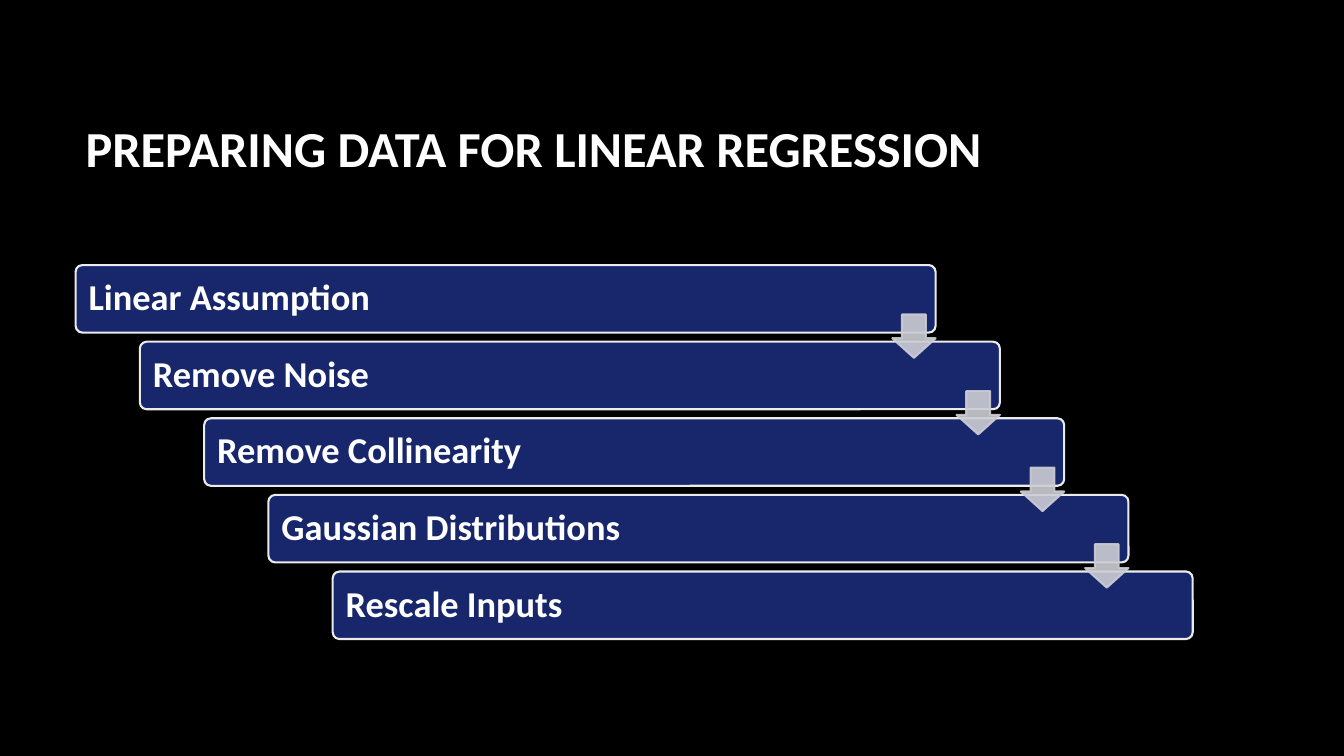
"""Build a slide with five staggered steps for preparing regression data."""
from lxml import etree
from pptx import Presentation
from pptx.dml.color import RGBColor
from pptx.enum.shapes import MSO_SHAPE
from pptx.enum.text import MSO_ANCHOR, PP_ALIGN
from pptx.oxml.ns import qn
from pptx.util import Inches, Pt

COLORS = {
    "background": "000000",
    "text": "FFFFFF",
    "bar": "18276C",
    "bar_line": "EBEBEB",
    "arrow": "CCCDD4",
}
STEPS = [
    "Linear Assumption",
    "Remove Noise",
    "Remove Collinearity",
    "Gaussian Distributions",
    "Rescale Inputs",
]
LEFT, TOP = 0.75, 2.63
STEP_X, STEP_Y = 0.6375, 0.76
BAR_WIDTH, BAR_HEIGHT = 8.53, 0.67
ARROW_SIZE, ARROW_DROP = 0.43, 0.49


def write_text(shape, text, size, inset=0.1, line_spacing=1.0):
    frame = shape.text_frame
    frame.word_wrap = True
    frame.vertical_anchor = MSO_ANCHOR.MIDDLE
    frame.margin_left = frame.margin_right = Inches(inset)
    para = frame.paragraphs[0]
    para.alignment = PP_ALIGN.LEFT
    para.line_spacing = line_spacing
    span = para.add_run()
    span.text = text
    span.font.name = "Calibri"
    span.font.size = Pt(size)
    span.font.bold = True
    span.font.color.rgb = RGBColor.from_string(COLORS["text"])


def add_block(page, kind, position, adjustments, fill, line):
    shape = page.shapes.add_shape(kind, *[Inches(value) for value in position])
    shape.shadow.inherit = False
    for index, value in enumerate(adjustments):
        shape.adjustments[index] = value
    shape.fill.solid()
    shape.fill.fore_color.rgb = RGBColor.from_string(COLORS[fill])
    shape.line.color.rgb = RGBColor.from_string(COLORS[line])
    shape.line.width = Pt(1.5)
    return shape


deck = Presentation()
deck.slide_width, deck.slide_height = Inches(13.33), Inches(7.5)
page = deck.slides.add_slide(deck.slide_layouts[6])
page.background.fill.solid()
page.background.fill.fore_color.rgb = RGBColor.from_string(COLORS["background"])

title = page.shapes.add_textbox(Inches(0.75), Inches(0.67), Inches(11.08), Inches(1.59))
write_text(title, "PREPARING DATA FOR LINEAR REGRESSION", size=36)

for index, step in enumerate(STEPS):
    position = (LEFT + index * STEP_X, TOP + index * STEP_Y, BAR_WIDTH, BAR_HEIGHT)
    bar = add_block(page, MSO_SHAPE.ROUNDED_RECTANGLE, position, [0.1], "bar", "bar_line")
    write_text(bar, step, size=26, inset=0.11, line_spacing=0.9)

for index in range(len(STEPS) - 1):
    right = LEFT + index * STEP_X + BAR_WIDTH
    top = TOP + index * STEP_Y + ARROW_DROP
    position = (right - ARROW_SIZE, top, ARROW_SIZE, ARROW_SIZE)
    arrow = add_block(page, MSO_SHAPE.DOWN_ARROW, position, [0.55, 0.45], "arrow", "arrow")
    for color in arrow._element.spPr.iter(qn("a:srgbClr")):
        etree.SubElement(color, qn("a:alpha")).set("val", "90000")

deck.save("out.pptx")
